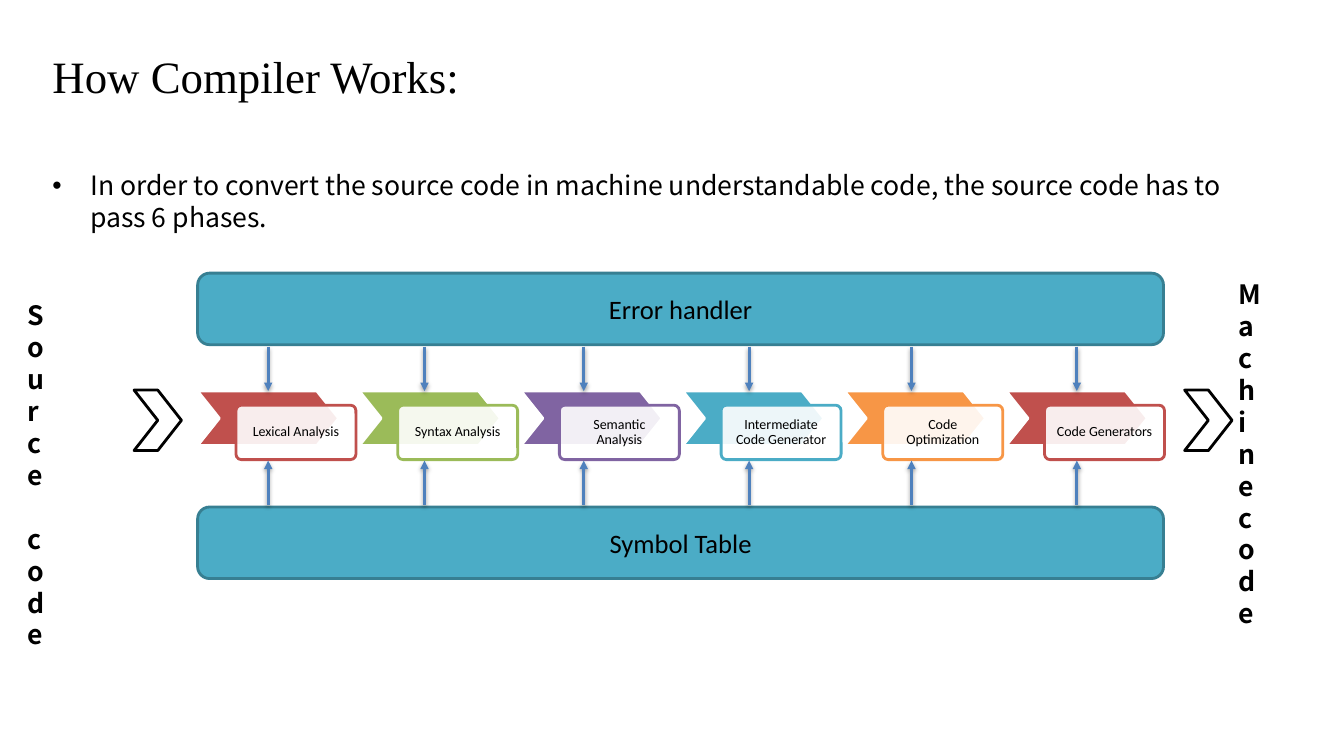
from dataclasses import dataclass

from lxml.etree import SubElement
from pptx import Presentation
from pptx.dml.color import RGBColor
from pptx.enum.shapes import MSO_CONNECTOR, MSO_SHAPE
from pptx.enum.text import MSO_ANCHOR, MSO_AUTO_SIZE, PP_ALIGN
from pptx.oxml.ns import qn
from pptx.util import Inches, Pt


@dataclass(frozen=True)
class Theme:
    black: str = "000000"
    white: str = "FFFFFF"
    red: str = "C0504D"
    green: str = "9BBB59"
    purple: str = "8064A2"
    teal: str = "4BACC6"
    orange: str = "F79646"
    teal_edge: str = "377F92"
    arrow: str = "4F81BD"
    title_font: str = "Times New Roman"
    body_font: str = "Noto Sans CJK JP"
    shape_font: str = "Calibri"
    title_size: int = 32
    body_size: int = 19
    phase_size: int = 10
    line_width: int = 2


THEME = Theme()
PHASES = [
    ("Lexical Analysis", THEME.red),
    ("Syntax Analysis", THEME.green),
    ("Semantic Analysis", THEME.purple),
    ("Intermediate Code Generator", THEME.teal),
    ("Code Optimization", THEME.orange),
    ("Code Generators", THEME.red),
]
PHASE_STEP = 1.604
ARROW_XS = [2.66, 4.21, 5.79, 7.43, 9.04, 10.68]


def rgb(color):
    return RGBColor.from_string(color)


def write(tf, text, font, size, align=PP_ALIGN.LEFT, bold=False, spacing=1.0):
    tf.word_wrap = True
    tf.text = text
    for p in tf.paragraphs:
        p.alignment = align
        p.line_spacing = spacing
        p.space_before = Pt(0)
        for r in p.runs:
            r.font.name = font
            r.font.size = Pt(size)
            r.font.bold = bold
            r.font.color.rgb = rgb(THEME.black)


def fill_placeholder(ph, box, text, font, size):
    ph.left, ph.top, ph.width, ph.height = [Inches(v) for v in box]
    tf = ph.text_frame
    tf.auto_size = MSO_AUTO_SIZE.NONE
    tf.vertical_anchor = MSO_ANCHOR.TOP
    pPr = tf.paragraphs[0]._p.get_or_add_pPr()
    pPr.set("marL", "0")
    pPr.set("indent", "0")
    SubElement(pPr, qn("a:buNone"))
    write(tf, text, font, size)


def add_block(s, kind, box, fill, line, adjust=None):
    sp = s.shapes.add_shape(kind, *[Inches(v) for v in box])
    sp.shadow.inherit = False
    sp.fill.solid()
    sp.fill.fore_color.rgb = rgb(fill)
    sp.line.color.rgb = rgb(line)
    sp.line.width = Pt(THEME.line_width)
    if adjust is not None:
        sp.adjustments[0] = adjust
    return sp


def add_phase(s, index, name, color):
    offset = index * PHASE_STEP
    add_block(s, MSO_SHAPE.CHEVRON, (1.96 + offset, 3.88, 1.4, 0.54),
              color, THEME.white, 0.4)
    card = add_block(s, MSO_SHAPE.ROUNDED_RECTANGLE,
                     (2.34 + offset, 4.02, 1.19, 0.54), THEME.white, color, 0.1)
    fill_color = card._element.spPr.find(qn("a:solidFill"))[0]
    SubElement(fill_color, qn("a:alpha"), val="90000")
    tf = card.text_frame
    tf.margin_left = tf.margin_right = Inches(0.1)
    tf.vertical_anchor = MSO_ANCHOR.MIDDLE
    write(tf, name, THEME.shape_font, THEME.phase_size, PP_ALIGN.CENTER, spacing=0.9)


def add_bar(s, top, text):
    bar = add_block(s, MSO_SHAPE.ROUNDED_RECTANGLE, (1.96, top, 9.58, 0.71),
                    THEME.teal, THEME.teal_edge)
    bar.text_frame.vertical_anchor = MSO_ANCHOR.MIDDLE
    write(bar.text_frame, text, THEME.shape_font, THEME.body_size, PP_ALIGN.CENTER)


def add_vertical_label(s, box, text):
    label = s.shapes.add_textbox(*[Inches(v) for v in box])
    tf = label.text_frame
    write(tf, text, THEME.body_font, THEME.body_size, bold=True)
    tf.auto_size = MSO_AUTO_SIZE.SHAPE_TO_FIT_TEXT
    tf._txBody.bodyPr.set("vert", "wordArtVert")


def add_arrow(s, x, start, end):
    arrow = s.shapes.add_connector(MSO_CONNECTOR.STRAIGHT, Inches(x), Inches(start),
                                   Inches(x), Inches(end))
    arrow.line.color.rgb = rgb(THEME.arrow)
    arrow.line.width = Pt(THEME.line_width)
    spPr = arrow._element.spPr
    SubElement(spPr.find(qn("a:ln")), qn("a:tailEnd"), type="triangle")
    effects = SubElement(spPr, qn("a:effectLst"))
    shadow = SubElement(effects, qn("a:outerShdw"), blurRad=str(Pt(3.1)),
                        dist=str(Pt(1.6)), dir="5400000", rotWithShape="0")
    color = SubElement(shadow, qn("a:srgbClr"), val=THEME.black)
    SubElement(color, qn("a:alpha"), val="38000")


def main():
    prs = Presentation()
    prs.slide_width, prs.slide_height = Inches(13.33), Inches(7.5)
    s = prs.slides.add_slide(prs.slide_layouts[1])

    fill_placeholder(s.shapes.title, (0.42, 0.43, 4.49, 0.64), "How Compiler Works:",
                     THEME.title_font, THEME.title_size)
    fill_placeholder(s.placeholders[1], (0.42, 1.63, 12.15, 0.74),
                     "In order to convert the source code in machine understandable code, "
                     "the source code has to pass 6 phases.",
                     THEME.body_font, THEME.body_size)

    for index, (name, color) in enumerate(PHASES):
        add_phase(s, index, name, color)
    for left in (11.75, 1.33):
        add_block(s, MSO_SHAPE.CHEVRON, (left, 3.87, 0.47, 0.6), THEME.white, THEME.black)

    add_vertical_label(s, (0.17, 2.92, 1.14, 3.04), "Source code")
    add_vertical_label(s, (12.19, 2.71, 1.14, 3.46), "Machine\ncode")
    add_bar(s, 2.71, "Error handler")
    add_bar(s, 5.03, "Symbol Table")

    for x in ARROW_XS:
        add_arrow(s, x, 3.44, 3.88)
        add_arrow(s, x, 5.01, 4.57)

    prs.save("out.pptx")


if __name__ == "__main__":
    main()
